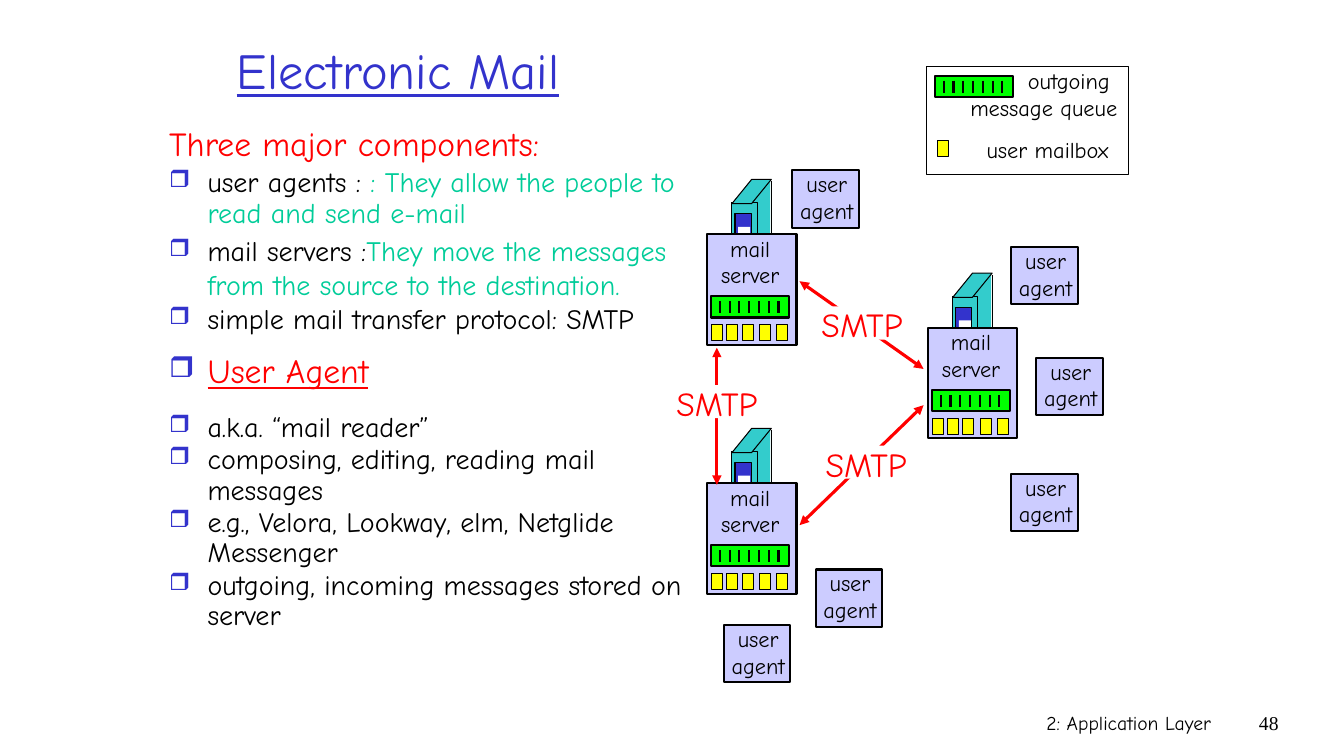
"""Build the Electronic Mail slide with its mail server diagram."""
from dataclasses import dataclass

import lxml.etree
import pptx
import pptx.dml.color
import pptx.enum.shapes
import pptx.enum.text
import pptx.oxml.ns
import pptx.util

Inches = pptx.util.Inches
Pt = pptx.util.Pt
Shape = pptx.enum.shapes.MSO_SHAPE
Align = pptx.enum.text.PP_ALIGN
Anchor = pptx.enum.text.MSO_ANCHOR
qn = pptx.oxml.ns.qn


@dataclass(frozen=True)
class Theme:
    font: str = "Comic Neue"
    number_font: str = "Times New Roman"
    title_size: float = 36
    heading_size: float = 24
    body_size: float = 20
    label_size: float = 16
    footer_size: float = 14
    thin: float = 0.75
    medium: float = 1.5
    thick: float = 2.25
    black: str = "000000"
    white: str = "FFFFFF"
    blue: str = "3333CC"
    red: str = "FF0000"
    green: str = "00CC99"
    teal: str = "33CCCC"
    lilac: str = "CCCCFF"
    queue: str = "00FF00"
    mailbox: str = "FFFF00"


THEME = Theme()

TITLE = "Electronic Mail"
HEADING = "Three major components:"
SECTION = "User Agent"
COMPONENTS = [
    ("user agents :", " : They allow the people to read and send e-mail", 0.9, 0),
    ("mail servers :", "They move the messages from the source to the destination.", 1.0, 0),
    ("simple mail transfer protocol: SMTP", "", 0.9, 12),
]
AGENT_POINTS = [
    "a.k.a. “mail reader”",
    "composing, editing, reading mail messages",
    "e.g., Velora, Lookway, elm, Netglide Messenger",
    "outgoing, incoming messages stored on server",
]
SERVERS = [(9.2, 3.25), (7.01, 4.79), (7.01, 2.32)]
AGENTS = [(10.03, 2.45), (10.28, 3.55), (10.03, 4.7), (8.09, 5.65), (7.18, 6.2), (7.86, 1.69)]
SMTP_LINKS = [
    ((7.93, 2.79), (9.16, 3.66), (8.08, 3.04)),
    ((7.93, 5.21), (9.16, 4.02), (8.12, 4.42)),
    ((7.11, 4.81), (7.11, 3.45), (6.64, 3.82)),
]
TOWER_PARTS = [
    (Shape.RECTANGLE, 0.45, -0.53, 0.18, 0.78, THEME.teal, None),
    (Shape.RECTANGLE, 0.25, -0.31, 0.25, 0.78, THEME.teal, THEME.thin),
    (Shape.PARALLELOGRAM, 0.25, -0.54, 0.39, 0.24, THEME.teal, THEME.thin),
    (Shape.RECTANGLE, 0.28, -0.2, 0.16, 0.45, THEME.blue, THEME.thin),
    (Shape.RECTANGLE, 0.31, -0.07, 0.12, 0.16, THEME.white, None),
]
MAILBOX_OFFSETS = [0.05, 0.2, 0.35, 0.52, 0.69]


def rgb(color):
    return pptx.dml.color.RGBColor.from_string(color)


def add_box(shapes, left, top, width, height, fill=None, line=None, kind=Shape.RECTANGLE):
    box = shapes.add_shape(kind, Inches(left), Inches(top), Inches(width), Inches(height))
    box.shadow.inherit = False
    if kind == Shape.PARALLELOGRAM:
        box.adjustments[0] = 0.814
    if fill:
        box.fill.solid()
        box.fill.fore_color.rgb = rgb(fill)
    else:
        box.fill.background()
    if line:
        box.line.color.rgb = rgb(THEME.black)
        box.line.width = Pt(line)
    else:
        box.line.fill.background()
    return box


def add_line(shapes, start, end, color, width, arrows=False):
    line = shapes.add_connector(
        pptx.enum.shapes.MSO_CONNECTOR.STRAIGHT, *(Inches(value) for value in (*start, *end)))
    line.line.color.rgb = rgb(color)
    line.line.width = Pt(width)
    properties = line._element.spPr
    if arrows:
        for end_name in ("a:headEnd", "a:tailEnd"):
            lxml.etree.SubElement(properties.find(qn("a:ln")), qn(end_name), type="triangle")
    lxml.etree.SubElement(properties, qn("a:effectLst"))


def add_span(para, text, size, color, font=THEME.font, underline=None):
    span = para.add_run()
    span.text = text
    span.font.name = font
    span.font.size = Pt(size)
    span.font.color.rgb = rgb(color)
    span.font.underline = underline


def add_text(shapes, left, top, width, height, lines, size, color=THEME.black,
             align=Align.CENTER, font=THEME.font, wrap=False, underline=None, anchor=Anchor.TOP):
    box = shapes.add_textbox(Inches(left), Inches(top), Inches(width), Inches(height))
    frame = box.text_frame
    frame.word_wrap = wrap
    frame.vertical_anchor = anchor
    for index, text in enumerate(lines):
        para = frame.add_paragraph() if index else frame.paragraphs[0]
        para.alignment = align
        add_span(para, text, size, color, font, underline)
    return frame


def add_bullet(frame, spans, before, after=0, spacing=0.9):
    para = frame.add_paragraph()
    properties = para._p.get_or_add_pPr()
    properties.set("marL", str(Inches(0.38)))
    properties.set("indent", str(-Inches(0.38)))
    bullet_color = lxml.etree.SubElement(properties, qn("a:buClr"))
    lxml.etree.SubElement(bullet_color, qn("a:srgbClr"), val=THEME.blue)
    lxml.etree.SubElement(properties, qn("a:buSzPct"), val="85000")
    lxml.etree.SubElement(properties, qn("a:buChar"), char="❒")
    para.line_spacing = spacing
    para.space_before = Pt(before)
    para.space_after = Pt(after)
    for span in spans:
        add_span(para, **span)


def add_body(shapes):
    frame = add_text(shapes, 1.58, 1.22, 5.39, 5.78, [HEADING], THEME.heading_size,
                     THEME.red, Align.LEFT, wrap=True)
    frame.paragraphs[0].line_spacing = 0.9
    for name, role, spacing, after in COMPONENTS:
        spans = [dict(text=text, size=THEME.body_size, color=color)
                 for text, color in ((name, THEME.black), (role, THEME.green)) if text]
        add_bullet(frame, spans, 3.2, after, spacing)
    add_bullet(frame, [dict(text=SECTION, size=THEME.heading_size, color=THEME.red,
                            underline=True)], 1.6, 14.4)
    for point in AGENT_POINTS:
        add_bullet(frame, [dict(text=point, size=THEME.body_size, color=THEME.black)], 1.6)


def add_queue(shapes, left, top):
    add_box(shapes, left, top, 0.78, 0.21, THEME.queue, THEME.medium)
    for index in range(7):
        tick = left + 0.09 + index * 0.097
        add_line(shapes, (tick, top + 0.05), (tick, top + 0.17), THEME.black, THEME.medium)


def add_mailbox(shapes, left, top):
    add_box(shapes, left, top, 0.11, 0.16, THEME.mailbox, THEME.thin)


def add_server(shapes, left, top):
    for kind, across, down, width, height, fill, line in TOWER_PARTS:
        add_box(shapes, left + across, top + down, width, height, fill, line, kind)
    edge = left + 0.64
    add_line(shapes, (edge, top - 0.52), (edge, top + 0.25), THEME.black, THEME.thin)
    add_box(shapes, left, top, 0.89, 1.1, THEME.lilac, THEME.medium)
    add_text(shapes, left - 0.01, top - 0.04, 0.88, 0.64, ["mail", "server"], THEME.label_size)
    add_queue(shapes, left + 0.04, top + 0.62)
    for offset in MAILBOX_OFFSETS:
        add_mailbox(shapes, left + offset, top + 0.9)


def add_agent(shapes, left, top):
    add_box(shapes, left, top, 0.66, 0.57, THEME.lilac, THEME.medium)
    add_text(shapes, left - 0.05, top - 0.05, 0.78, 0.64, ["user", "agent"], THEME.label_size)


def add_legend(shapes):
    add_box(shapes, 9.19, 0.66, 2, 1.07, line=THEME.thin)
    add_text(shapes, 9.63, 1.3, 1.52, 0.37, ["user mailbox"], THEME.label_size)
    add_queue(shapes, 9.27, 0.75)
    add_mailbox(shapes, 9.3, 1.39)
    add_text(shapes, 9.46, 0.62, 1.72, 0.64, ["outgoing ", "message queue"],
             THEME.label_size, align=Align.RIGHT)


def main():
    deck = pptx.Presentation()
    deck.slide_width, deck.slide_height = Inches(13.33), Inches(7.5)
    page = deck.slides.add_slide(deck.slide_layouts[6])
    shapes = page.shapes
    add_text(shapes, 7.89, 7, 4.22, 0.5, ["2: Application Layer"], THEME.footer_size,
             align=Align.RIGHT, wrap=True)
    add_text(shapes, 12.11, 7, 0.67, 0.5, ["48"], THEME.footer_size,
             align=Align.RIGHT, font=THEME.number_font, wrap=True)
    add_text(shapes, 2.25, 0.25, 8.5, 0.87, [TITLE], THEME.title_size, THEME.blue,
             Align.LEFT, wrap=True, underline=True, anchor=Anchor.MIDDLE)
    add_body(shapes)
    add_legend(shapes.add_group_shape().shapes)
    for draw, places in ((add_server, SERVERS), (add_agent, AGENTS)):
        for left, top in places:
            draw(shapes.add_group_shape().shapes, left, top)
    for start, end, (left, top) in SMTP_LINKS:
        add_line(shapes, start, end, THEME.red, THEME.thick, arrows=True)
        add_box(shapes, left, top, 0.94, 0.33, THEME.white)
        add_text(shapes, left - 0.1, top - 0.07, 1.14, 0.51, ["SMTP"],
                 THEME.heading_size, THEME.red)
    deck.save("out.pptx")


if __name__ == "__main__":
    main()
